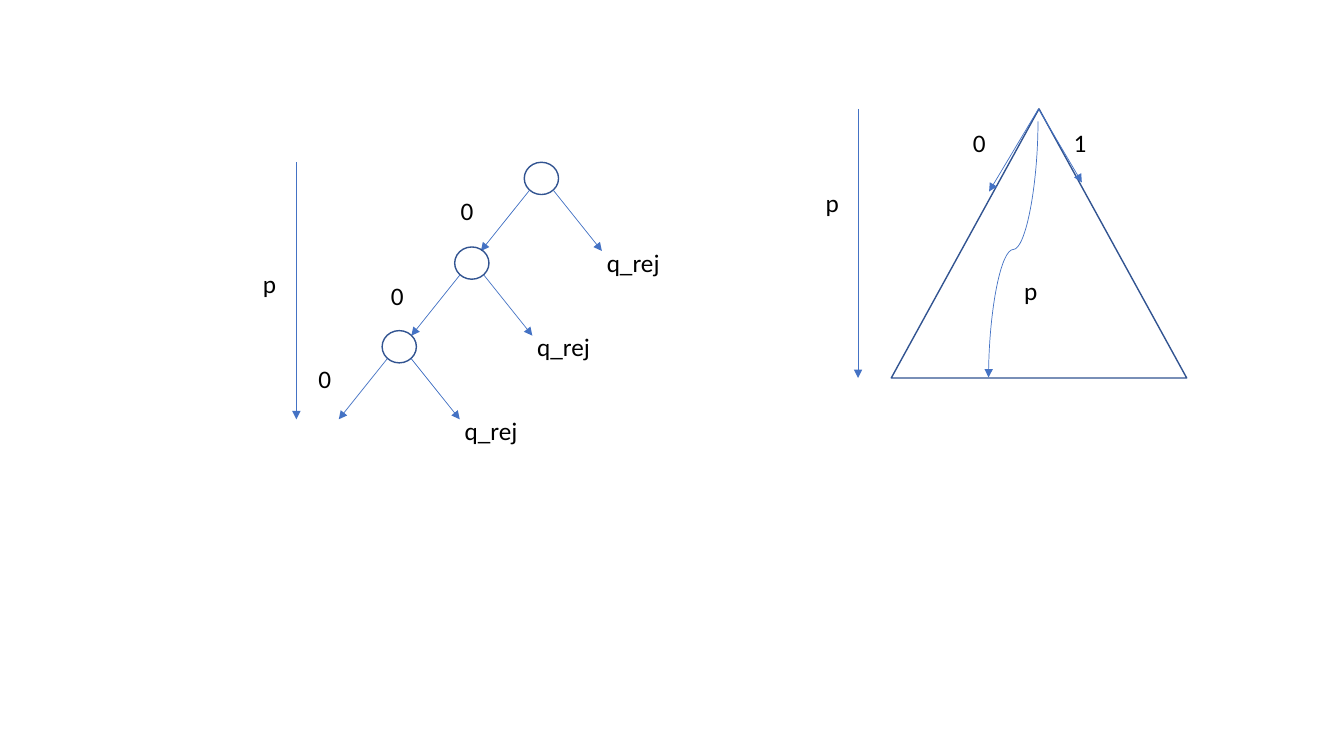
from dataclasses import dataclass
from typing import NamedTuple

from pptx import Presentation
from pptx.dml.color import RGBColor
from pptx.enum.shapes import MSO_CONNECTOR, MSO_SHAPE
from pptx.enum.text import MSO_AUTO_SIZE
from pptx.oxml.ns import qn
from pptx.shapes.autoshape import Shape
from pptx.shapes.connector import Connector
from pptx.shapes.shapetree import GroupShapes
from pptx.util import Emu, Pt
from lxml.etree import SubElement

EMU_PER_PX = 9144  # 100 px to the inch


@dataclass(frozen=True)
class Theme:
    outline: RGBColor = RGBColor(0x32, 0x54, 0x91)
    arrow: RGBColor = RGBColor(0x44, 0x72, 0xC4)
    text: RGBColor = RGBColor(0, 0, 0)
    font: str = "Calibri"
    text_size: float = 18
    outline_width: float = 1
    arrow_width: float = 0.5


THEME = Theme()


class Point(NamedTuple):
    x: int
    y: int

    def shift(self, dx: int, dy: int) -> "Point":
        return Point(self.x + dx, self.y + dy)


class Label(NamedTuple):
    text: str
    at: Point
    width: int
    height: int


class Arrow(NamedTuple):
    start: Point
    end: Point


def px(n: int) -> Emu:
    return Emu(n * EMU_PER_PX)


def add_outline(shapes: GroupShapes, kind: MSO_SHAPE, at: Point,
                width: int, height: int) -> Shape:
    sp = shapes.add_shape(kind, px(at.x), px(at.y), px(width), px(height))
    sp.shadow.inherit = False
    sp.fill.background()
    sp.line.color.rgb = THEME.outline
    sp.line.width = Pt(THEME.outline_width)
    return sp


def add_arrow(shapes: GroupShapes, arrow: Arrow,
              kind: MSO_CONNECTOR = MSO_CONNECTOR.STRAIGHT) -> Connector:
    (x1, y1), (x2, y2) = arrow
    cxn = shapes.add_connector(kind, px(x1), px(y1), px(x2), px(y2))
    cxn.line.color.rgb = THEME.arrow
    cxn.line.width = Pt(THEME.arrow_width)
    SubElement(cxn.line._get_or_add_ln(), qn("a:tailEnd"), type="triangle")
    SubElement(cxn._element.spPr, qn("a:effectLst"))
    return cxn


def add_falling_curve(shapes: GroupShapes, arrow: Arrow) -> None:
    """Draw an S-curve that leaves and arrives vertically, falling to the left."""
    start, end = arrow
    length, spread = end.y - start.y, start.x - end.x
    left = (start.x + end.x - length) // 2
    top = (start.y + end.y - spread) // 2
    flat = Arrow(Point(left, top), Point(left + length, top + spread))
    cxn = add_arrow(shapes, flat, MSO_CONNECTOR.CURVE)
    cxn._element.spPr.find(qn("a:xfrm")).set("rot", str(90 * 60000))


def add_text(shapes: GroupShapes, label: Label, *, size: float = THEME.text_size,
             color: RGBColor = THEME.text, font: str = THEME.font) -> None:
    tb = shapes.add_textbox(px(label.at.x), px(label.at.y),
                            px(label.width), px(label.height))
    tf = tb.text_frame
    tf.word_wrap = True
    tf.auto_size = MSO_AUTO_SIZE.SHAPE_TO_FIT_TEXT
    r = tf.paragraphs[0].add_run()
    r.text = label.text
    r.font.size = Pt(size)
    r.font.name = font
    r.font.color.rgb = color


def add_triangle_tree(shapes: GroupShapes) -> None:
    apex, base_y = Point(1030, 108), 375
    add_outline(shapes, MSO_SHAPE.ISOSCELES_TRIANGLE, Point(884, apex.y),
                293, base_y - apex.y)
    add_falling_curve(shapes, Arrow(apex.shift(0, 13), Point(981, base_y)))
    for arrow in (
        Arrow(apex, Point(1073, 181)),
        Arrow(apex, Point(981, 190)),
        Arrow(Point(851, apex.y), Point(851, base_y)),
    ):
        add_arrow(shapes, arrow)
    for label in (
        Label("1", Point(1055, 121), 145, 40),
        Label("0", Point(955, 121), 49, 40),
        Label("p", Point(1006, 268), 67, 40),
        Label("p", Point(809, 181), 42, 40),
    ):
        add_text(shapes, label)


def add_branch(shapes: GroupShapes, node: Point) -> None:
    """Draw one circle with its 0 branch and its rejecting branch."""
    add_outline(shapes, MSO_SHAPE.OVAL, node, 34, 32)
    add_arrow(shapes, Arrow(node.shift(5, 28), node.shift(-43, 88)))
    add_arrow(shapes, Arrow(node.shift(29, 28), node.shift(77, 88)))
    add_text(shapes, Label("q_rej", node.shift(72, 79), 76, 33))
    add_text(shapes, Label("0", node.shift(-73, 28), 76, 33))


def add_reject_tree(shapes: GroupShapes) -> None:
    for node in (Point(520, 161), Point(451, 245), Point(379, 328)):
        add_branch(shapes, node)
    add_arrow(shapes, Arrow(Point(294, 161), Point(294, 416)))
    add_text(shapes, Label("p", Point(251, 261), 40, 33))


def main() -> None:
    prs = Presentation()
    prs.slide_width, prs.slide_height = px(1333), px(750)
    s = prs.slides.add_slide(prs.slide_layouts[6])
    for add_tree in (add_triangle_tree, add_reject_tree):
        add_tree(s.shapes.add_group_shape().shapes)
    prs.save("out.pptx")


if __name__ == "__main__":
    main()
